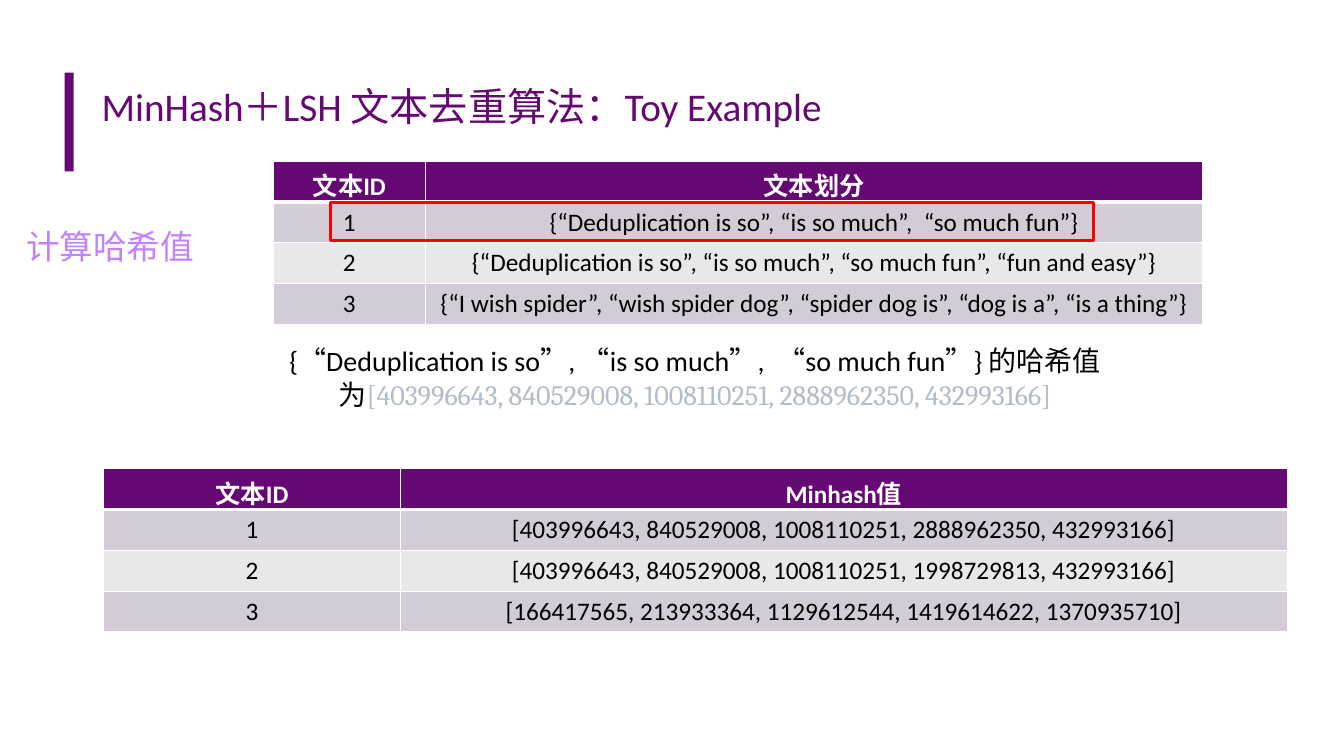
from dataclasses import dataclass

from lxml import etree
from pptx import Presentation
from pptx.dml.color import RGBColor
from pptx.enum.shapes import MSO_SHAPE
from pptx.enum.text import MSO_ANCHOR, PP_ALIGN
from pptx.oxml.ns import qn
from pptx.util import Inches, Pt

RECTANGLE = MSO_SHAPE.RECTANGLE
MIDDLE, TOP = MSO_ANCHOR.MIDDLE, MSO_ANCHOR.TOP
CENTER, LEFT = PP_ALIGN.CENTER, PP_ALIGN.LEFT
BLANK_LAYOUT = 6
ROW_HEIGHT = 0.405


@dataclass(frozen=True)
class Theme:
    purple: str = "660874"
    lilac: str = "C281FF"
    red: str = "FF0000"
    white: str = "FFFFFF"
    black: str = "000000"
    grey: str = "B3BCC9"
    bands: tuple = ("D3CCD6", "EAE7EB")
    font: str = "Calibri"
    number_font: str = "Cambria"
    title: int = 28
    label: int = 24
    body: int = 20
    cell: int = 18
    rule: int = 1
    header_rule: int = 3


THEME = Theme()
FIRST_HASHES = "[403996643, 840529008, 1008110251, 2888962350, 432993166]"
SHINGLE_ROWS = [
    ("文本ID", "文本划分"),
    ("1", "{“Deduplication is so”, “is so much”,  “so much fun”}"),
    ("2", "{“Deduplication is so”, “is so much”, “so much fun”, “fun and easy”}"),
    ("3", "{“I wish spider”, “wish spider dog”, “spider dog is”, “dog is a”, “is a thing”}"),
]
MINHASH_ROWS = [
    ("文本ID", "Minhash值"),
    ("1", FIRST_HASHES),
    ("2", "[403996643, 840529008, 1008110251, 1998729813, 432993166]"),
    ("3", "[166417565, 213933364, 1129612544, 1419614622, 1370935710]"),
]


def add_span(para, text, size, color, font=THEME.font, bold=False):
    span = para.add_run()
    span.text = text
    span.font.name = font
    span.font.size = Pt(size)
    span.font.bold = bold
    span.font.color.rgb = RGBColor.from_string(color)


def add_text(page, box, align=LEFT, anchor=TOP):
    frame = page.shapes.add_textbox(*map(Inches, box)).text_frame
    frame.word_wrap = True
    frame.vertical_anchor = anchor
    para = frame.paragraphs[0]
    para.alignment = align
    return para


def add_rectangle(page, box, fill=None, line=None):
    shape = page.shapes.add_shape(RECTANGLE, *map(Inches, box))
    shape.shadow.inherit = False
    if fill:
        shape.fill.solid()
        shape.fill.fore_color.rgb = RGBColor.from_string(fill)
    else:
        shape.fill.background()
    if line:
        shape.line.color.rgb = RGBColor.from_string(line)
        shape.line.width = Pt(2.25)
    else:
        shape.line.fill.background()


def set_borders(cell, top, bottom):
    properties = cell._tc.get_or_add_tcPr()
    widths = {"lnL": THEME.rule, "lnR": THEME.rule, "lnT": top, "lnB": bottom}
    for position, (side, width) in enumerate(widths.items()):
        border = etree.Element(qn(f"a:{side}"), w=str(Pt(width)))
        fill = etree.SubElement(border, qn("a:solidFill"))
        etree.SubElement(fill, qn("a:srgbClr"), val=THEME.white)
        properties.insert(position, border)


def draw_table(page, left, top, widths, rows):
    box = (left, top, sum(widths), ROW_HEIGHT * len(rows))
    table = page.shapes.add_table(len(rows), len(widths), *map(Inches, box)).table
    for column, width in zip(table.columns, widths):
        column.width = Inches(width)
    for index, values in enumerate(rows):
        header = index == 0
        fill = THEME.purple if header else THEME.bands[(index - 1) % 2]
        above = THEME.header_rule if index == 1 else THEME.rule
        below = THEME.header_rule if header else THEME.rule
        for number, value in enumerate(values):
            cell = table.cell(index, number)
            cell.vertical_anchor = MIDDLE
            cell.fill.solid()
            cell.fill.fore_color.rgb = RGBColor.from_string(fill)
            set_borders(cell, above, below)
            para = cell.text_frame.paragraphs[0]
            para.alignment = CENTER
            add_span(para, value, THEME.cell,
                     THEME.white if header else THEME.black, bold=header)


def draw_heading(page, left, top, width, height):
    add_rectangle(page, (left, top + 0.23, 0.09, 0.98), fill=THEME.purple)
    title = add_text(page, (left + 0.27, top, width - 0.27, height), anchor=MIDDLE)
    add_span(title, "MinHash＋LSH 文本去重算法：Toy Example", THEME.title, THEME.purple)


def draw_step_label(page, box):
    add_span(add_text(page, box), "计算哈希值", THEME.label, THEME.lilac)


def draw_shingles(page, left, top):
    draw_table(page, left, top, (1.51, 7.71), SHINGLE_ROWS)
    add_rectangle(page, (left + 0.57, top + ROW_HEIGHT, 7.57, 0.38), line=THEME.red)


def draw_hash_note(page, box):
    para = add_text(page, box, align=CENTER)
    add_span(para, SHINGLE_ROWS[1][1] + " 的哈希值为", THEME.body, THEME.black)
    add_span(para, FIRST_HASHES, THEME.body, THEME.grey, font=THEME.number_font)


def main():
    deck = Presentation()
    deck.slide_width, deck.slide_height = Inches(13.33), Inches(7.5)
    page = deck.slides.add_slide(deck.slide_layouts[BLANK_LAYOUT])
    draw_heading(page, 0.64, 0.49, 11.78, 1.11)
    draw_step_label(page, (0.16, 2.19, 2.15, 0.5))
    draw_shingles(page, 2.71, 1.6)
    draw_table(page, 1.03, 4.65, (2.94, 8.8), MINHASH_ROWS)
    draw_hash_note(page, (2.7, 3.36, 8.39, 0.77))
    deck.save("out.pptx")


if __name__ == "__main__":
    main()
